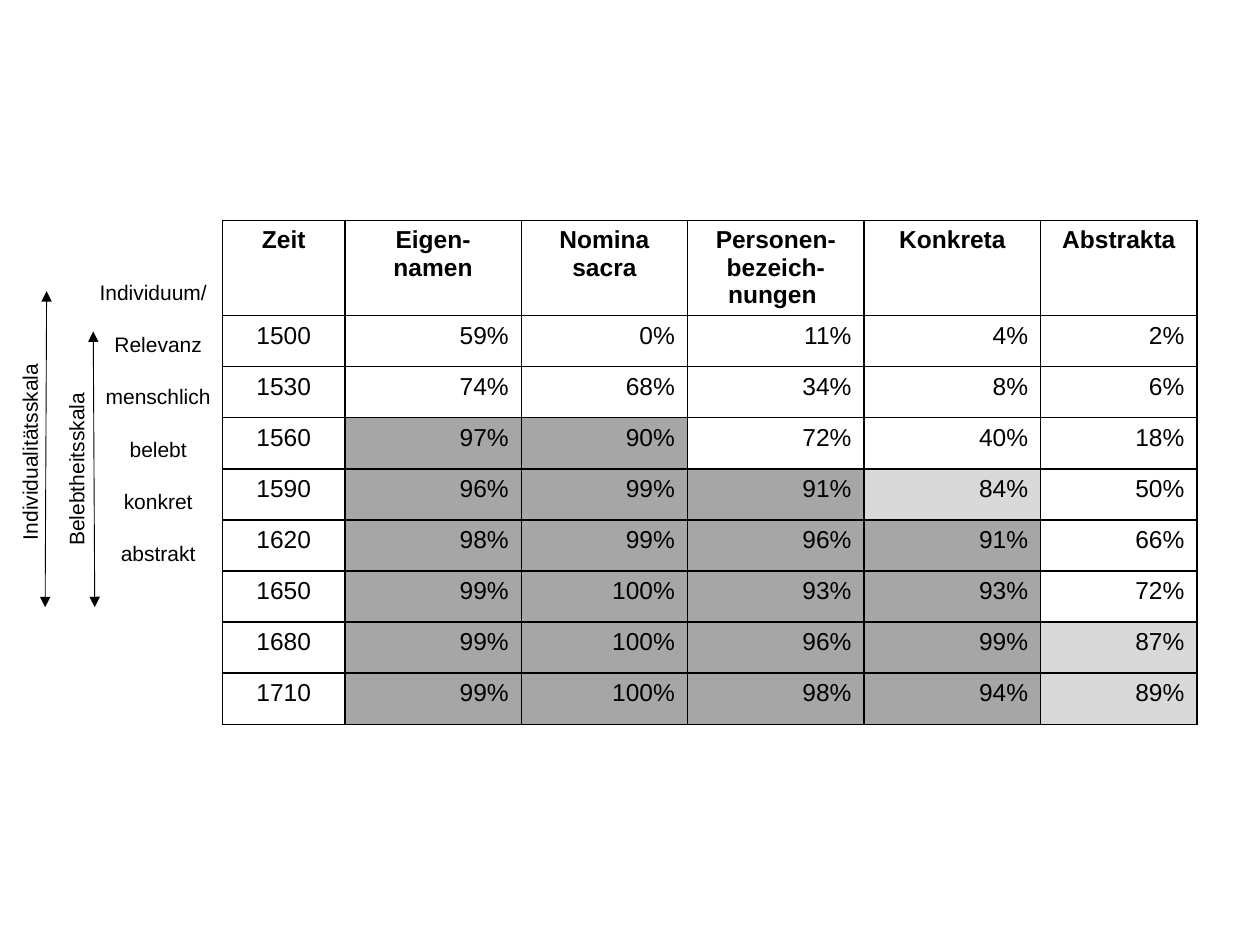
from dataclasses import dataclass

from lxml import etree
from pptx import Presentation
from pptx.dml.color import RGBColor
from pptx.enum import shapes, text
from pptx.oxml import ns
from pptx.util import Cm, Pt


@dataclass(frozen=True)
class Theme:
    font: str = "Arial"
    ink: str = "000000"
    paper: str = "FFFFFF"
    dark: str = "A6A6A6"
    light: str = "D9D9D9"
    label_size: int = 12
    table_size: int = 14
    border: float = 1
    arrow: float = 0.5


@dataclass(frozen=True)
class Label:
    wording: str
    left: float
    top: float
    width: float = 3.58
    height: float = 0.53
    rotation: int = 0


@dataclass(frozen=True)
class ScaleArrow:
    top_x: float
    top_y: float
    bottom_x: float
    bottom_y: float = 12.24


THEME = Theme()
CENTER, RIGHT = text.PP_ALIGN.CENTER, text.PP_ALIGN.RIGHT

LEVELS = ["Individuum/", "Relevanz", "menschlich", "belebt", "konkret", "abstrakt"]
LEVEL_TOP, LEVEL_STEP = 5.63, 1.05
LABELS = [
    Label(level, 1.4 if i else 1.3, LEVEL_TOP + i * LEVEL_STEP)
    for i, level in enumerate(LEVELS)
] + [
    Label("Belebtheitsskala", -0.61, 9.09, 4.29, 0.74, 270),
    Label("Individualitätsskala", -1.55, 8.74, 4.29, 0.74, 270),
]
ARROWS = [ScaleArrow(0.94, 5.87, 0.91), ScaleArrow(1.88, 6.68, 1.91)]

HEADINGS = ["Zeit", "Eigen-\nnamen", "Nomina sacra",
            "Personen-\nbezeich-\nnungen ", "Konkreta", "Abstrakta"]
SHARES = {
    1500: [59, 0, 11, 4, 2],
    1530: [74, 68, 34, 8, 6],
    1560: [97, 90, 72, 40, 18],
    1590: [96, 99, 91, 84, 50],
    1620: [98, 99, 96, 91, 66],
    1650: [99, 100, 93, 93, 72],
    1680: [99, 100, 96, 99, 87],
    1710: [99, 100, 98, 94, 89],
}
COLUMN_WIDTHS = [2.46, 3.56, 3.35, 3.56, 3.56, 3.15]
HEADER_HEIGHT, ROW_HEIGHT = 1.92, 1.03


def write(frame, wording: str, size: int, align, bold: bool = False) -> None:
    paragraph = frame.paragraphs[0]
    paragraph.text = wording.replace("\n", "\v")
    paragraph.alignment = align
    for run in paragraph.runs:
        for name, value in {"name": THEME.font, "size": Pt(size), "bold": bold}.items():
            setattr(run.font, name, value)
        run.font.color.rgb = RGBColor.from_string(THEME.ink)


def add_label(slide, label: Label) -> None:
    box = slide.shapes.add_shape(
        shapes.MSO_SHAPE.RECTANGLE,
        *map(Cm, (label.left, label.top, label.width, label.height)))
    box.rotation = label.rotation
    box.shadow.inherit = False
    box.fill.solid()
    box.fill.fore_color.rgb = RGBColor.from_string(THEME.paper)
    box.line.fill.background()
    layout = {"margin_left": 0, "margin_right": 0, "margin_top": 0, "margin_bottom": 0,
              "vertical_anchor": text.MSO_ANCHOR.MIDDLE, "word_wrap": True}
    for name, value in layout.items():
        setattr(box.text_frame, name, value)
    write(box.text_frame, label.wording, THEME.label_size, CENTER)


def add_borders(cell) -> None:
    properties = cell._tc.get_or_add_tcPr()
    for position, side in enumerate(("lnL", "lnR", "lnT", "lnB")):
        line = etree.Element(ns.qn(f"a:{side}"), w=str(Pt(THEME.border)))
        fill = etree.SubElement(line, ns.qn("a:solidFill"))
        etree.SubElement(fill, ns.qn("a:srgbClr"), val=THEME.ink)
        properties.insert(position, line)


def fill_cell(cell, wording: str, align, bold: bool = False, shade: str = "") -> None:
    write(cell.text_frame, wording, THEME.table_size, align, bold)
    if shade:
        cell.fill.solid()
        cell.fill.fore_color.rgb = RGBColor.from_string(shade)
    else:
        cell.fill.background()
    add_borders(cell)


def shade_for(share: int) -> str:
    if share >= 90:
        return THEME.dark
    return THEME.light if share >= 80 else ""


def add_share_table(slide) -> None:
    height = HEADER_HEIGHT + len(SHARES) * ROW_HEIGHT
    table = slide.shapes.add_table(
        len(SHARES) + 1, len(HEADINGS),
        Cm(4.49), Cm(4.44), Cm(sum(COLUMN_WIDTHS)), Cm(height)).table
    table.first_row = table.horz_banding = False
    for column, width in zip(table.columns, COLUMN_WIDTHS):
        column.width = Cm(width)
    for i, row in enumerate(table.rows):
        row.height = Cm(ROW_HEIGHT if i else HEADER_HEIGHT)
    for i, heading in enumerate(HEADINGS):
        fill_cell(table.cell(0, i), heading, CENTER, bold=True)
    for i, (year, shares) in enumerate(SHARES.items(), 1):
        fill_cell(table.cell(i, 0), str(year), CENTER)
        for j, share in enumerate(shares, 1):
            fill_cell(table.cell(i, j), f"{share}%", RIGHT, shade=shade_for(share))


def add_scale_arrow(slide, arrow: ScaleArrow) -> None:
    connector = slide.shapes.add_connector(
        shapes.MSO_CONNECTOR.STRAIGHT,
        *map(Cm, (arrow.top_x, arrow.top_y, arrow.bottom_x, arrow.bottom_y)))
    connector.line.width = Pt(THEME.arrow)
    connector.line.color.rgb = RGBColor.from_string(THEME.ink)
    line = connector.line._get_or_add_ln()
    for end in ("headEnd", "tailEnd"):
        etree.SubElement(line, ns.qn(f"a:{end}"), type="triangle")
    etree.SubElement(connector._element.spPr, ns.qn("a:effectLst"))


presentation = Presentation()
presentation.slide_width, presentation.slide_height = Cm(25.4), Cm(19.05)
slide = presentation.slides.add_slide(presentation.slide_layouts[6])

# Level names and scale names
for label in LABELS:
    add_label(slide, label)

# Shares by period and noun class
add_share_table(slide)

# Scale arrows
for arrow in ARROWS:
    add_scale_arrow(slide, arrow)

presentation.save("out.pptx")
